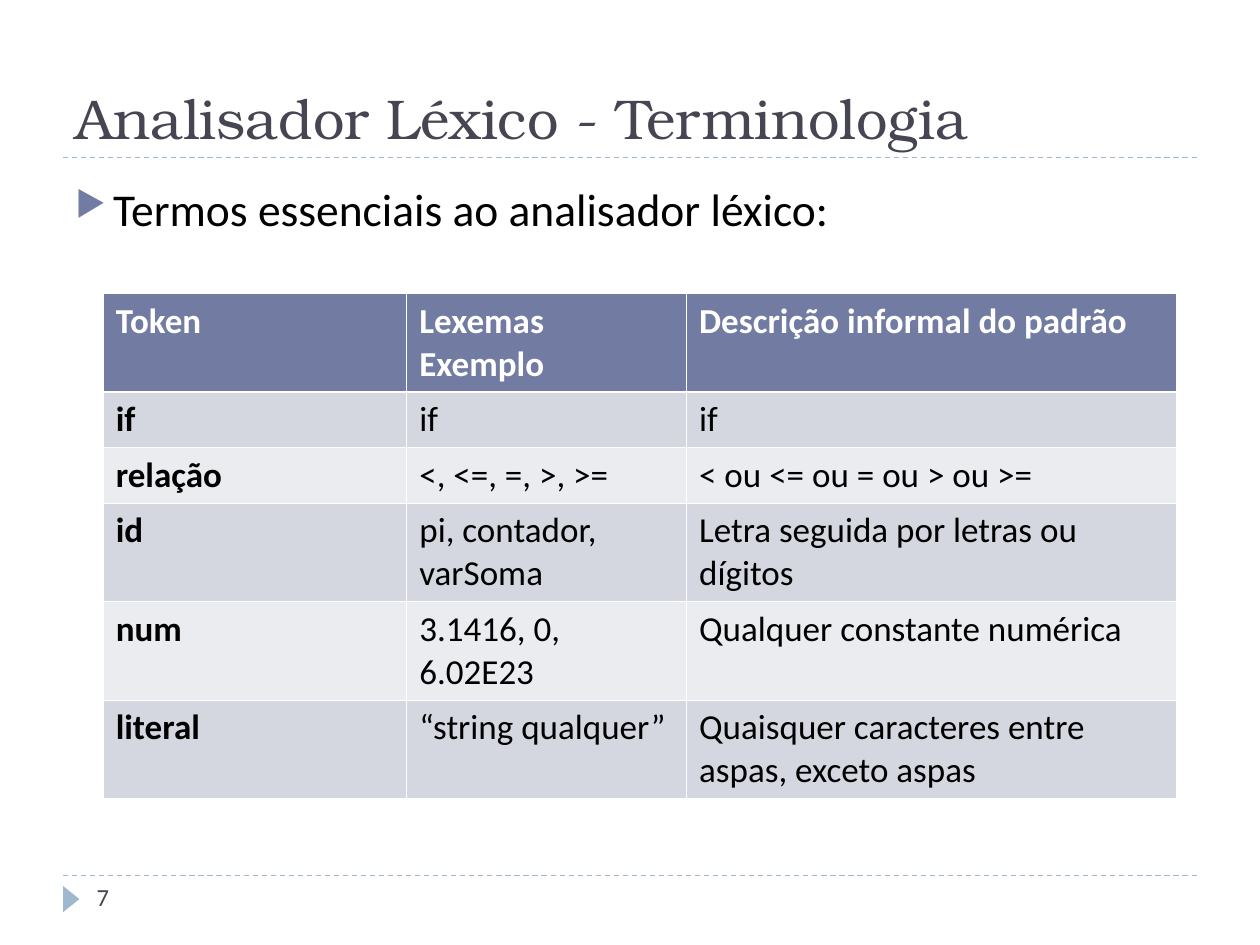
from dataclasses import dataclass

from lxml import etree
from pptx import Presentation
from pptx.dml.color import RGBColor
from pptx.enum.dml import MSO_LINE
from pptx.enum.shapes import MSO_CONNECTOR, MSO_SHAPE
from pptx.enum.text import MSO_ANCHOR, MSO_AUTO_SIZE, PP_ALIGN
from pptx.oxml.ns import qn
from pptx.util import Cm, Pt

STRAIGHT = MSO_CONNECTOR.STRAIGHT
TRIANGLE = MSO_SHAPE.ISOSCELES_TRIANGLE
DASH = MSO_LINE.DASH
TOP, BOTTOM = MSO_ANCHOR.TOP, MSO_ANCHOR.BOTTOM
NO_AUTOFIT = MSO_AUTO_SIZE.NONE
LEFT, JUSTIFY = PP_ALIGN.LEFT, PP_ALIGN.JUSTIFY
TITLE_ONLY = 5


@dataclass(frozen=True)
class Theme:
    heading_font: str = "TeX Gyre Bonum"
    body_font: str = "Calibri"
    title_size: float = 32
    body_size: float = 26
    table_size: float = 20
    number_size: float = 14
    dark: str = "464653"
    black: str = "000000"
    white: str = "FFFFFF"
    accent: str = "727CA3"
    pale_blue: str = "9FB8CD"
    bands: tuple = ("D5D7E0", "EBECF0")
    rule_width: float = 0.75
    border_width: float = 0.45
    header_border_width: float = 1.47


def color(value):
    return RGBColor.from_string(value)


def add_element(parent, tag, **attributes):
    return etree.SubElement(parent, qn(tag), attributes)


class SlideBuilder:
    def __init__(self, slide, theme):
        self.slide = slide
        self.theme = theme

    def fill_text(self, text_frame, text, size, font_color, alignment=LEFT, **font_format):
        paragraph = text_frame.paragraphs[0]
        paragraph.text = text
        paragraph.alignment = alignment
        values = {"name": self.theme.body_font, "size": Pt(size), "bold": False}
        for name, value in (values | font_format).items():
            setattr(paragraph.font, name, value)
        paragraph.font.color.rgb = color(font_color)

    def format_frame(self, text_frame, anchor):
        values = {"word_wrap": True, "auto_size": NO_AUTOFIT, "vertical_anchor": anchor}
        for name, value in values.items():
            setattr(text_frame, name, value)

    def title(self, text, left, top, width, height):
        shape = self.slide.shapes.title
        box = {"left": left, "top": top, "width": width, "height": height}
        for name, value in box.items():
            setattr(shape, name, Cm(value))
        self.format_frame(shape.text_frame, BOTTOM)
        self.fill_text(shape.text_frame, text, self.theme.title_size, self.theme.dark,
                       name=self.theme.heading_font)

    def text(self, text, box, size, font_color):
        shape = self.slide.shapes.add_textbox(*map(Cm, box))
        self.format_frame(shape.text_frame, TOP)
        self.fill_text(shape.text_frame, text, size, font_color)

    def bullet(self, text, box, indent):
        shape = self.slide.shapes.add_textbox(*map(Cm, box))
        self.format_frame(shape.text_frame, TOP)
        properties = shape.text_frame.paragraphs[0]._p.get_or_add_pPr()
        properties.set("marL", str(Cm(indent)))
        properties.set("indent", str(-Cm(indent)))
        bullet_color = add_element(properties, "a:buClr")
        add_element(bullet_color, "a:srgbClr", val=self.theme.accent)
        add_element(properties, "a:buSzPct", val="76000")
        add_element(properties, "a:buChar", char="▶")
        self.fill_text(shape.text_frame, text, self.theme.body_size, self.theme.black, JUSTIFY)

    def dashed_rule(self, left, right, top):
        rule = self.slide.shapes.add_connector(
            STRAIGHT, Cm(left), Cm(top), Cm(right), Cm(top))
        rule.line.color.rgb = color(self.theme.pale_blue)
        rule.line.width = Pt(self.theme.rule_width)
        rule.line.dash_style = DASH
        add_element(rule._element.spPr, "a:effectLst")

    def page_marker(self, left, top, width, height):
        marker = self.slide.shapes.add_shape(TRIANGLE, *map(Cm, (left, top, width, height)))
        marker.rotation = 90
        marker.shadow.inherit = False
        marker.fill.solid()
        marker.fill.fore_color.rgb = color(self.theme.pale_blue)
        marker.line.fill.background()

    def cell_borders(self, cell, row_index):
        """Draw thin white edges, with a thicker one under the header row."""
        theme = self.theme
        widths = dict.fromkeys("LRTB", theme.border_width)
        if row_index < 2:
            widths["B" if row_index == 0 else "T"] = theme.header_border_width
        properties = cell._tc.get_or_add_tcPr()
        for side, width in widths.items():
            line = add_element(properties, f"a:ln{side}", w=str(Pt(width)))
            fill = add_element(line, "a:solidFill")
            add_element(fill, "a:srgbClr", val=theme.white)

    def table(self, rows, left, top, column_widths, row_heights):
        theme = self.theme
        table = self.slide.shapes.add_table(
            len(rows), len(column_widths), Cm(left), Cm(top),
            Cm(sum(column_widths)), Cm(sum(row_heights))).table
        for column, width in zip(table.columns, column_widths):
            column.width = Cm(width)
        for row_index, (row, height) in enumerate(zip(rows, row_heights)):
            table.rows[row_index].height = Cm(height)
            is_header = row_index == 0
            fill = theme.accent if is_header else theme.bands[(row_index - 1) % 2]
            font_color = theme.white if is_header else theme.black
            for column_index, text in enumerate(row):
                cell = table.cell(row_index, column_index)
                self.cell_borders(cell, row_index)
                cell.fill.solid()
                cell.fill.fore_color.rgb = color(fill)
                self.fill_text(cell.text_frame, text, theme.table_size, font_color,
                               bold=is_header or column_index == 0)


TOKEN_ROWS = [
    ("Token", "Lexemas Exemplo", "Descrição informal do padrão"),
    ("if", "if", "if"),
    ("relação", "<, <=, =, >, >=", "< ou <= ou = ou > ou >="),
    ("id", "pi, contador, varSoma", "Letra seguida por letras ou dígitos"),
    ("num", "3.1416, 0, 6.02E23", "Qualquer constante numérica"),
    ("literal", "“string qualquer”", "Quaisquer caracteres entre aspas, exceto aspas"),
]
ONE_LINE, TWO_LINES = 1.12, 1.98
MARGIN, CONTENT_WIDTH = 1.27, 22.86


def main():
    presentation = Presentation()
    presentation.slide_width = Cm(25.4)
    presentation.slide_height = Cm(19.05)
    theme = Theme()
    slide = presentation.slides.add_slide(presentation.slide_layouts[TITLE_ONLY])
    builder = SlideBuilder(slide, theme)

    for top in (17.65, 3.17):
        builder.dashed_rule(MARGIN, MARGIN + CONTENT_WIDTH, top)
    builder.page_marker(1.17, 17.96, 0.53, 0.33)
    builder.title("Analisador Léxico - Terminologia", MARGIN, 0.43, CONTENT_WIDTH, 2.74)
    builder.bullet("Termos essenciais ao analisador léxico:",
                   (MARGIN, 3.53, CONTENT_WIDTH, 13.59), indent=0.76)
    builder.table(TOKEN_ROWS, 2.08, 5.92, (6.12, 5.64, 9.88),
                  [TWO_LINES] + [ONE_LINE] * 2 + [TWO_LINES] * 3)
    builder.text("7", (1.7, 17.65, 5.51, 1.02), theme.number_size, theme.dark)

    presentation.save("out.pptx")


if __name__ == "__main__":
    main()
